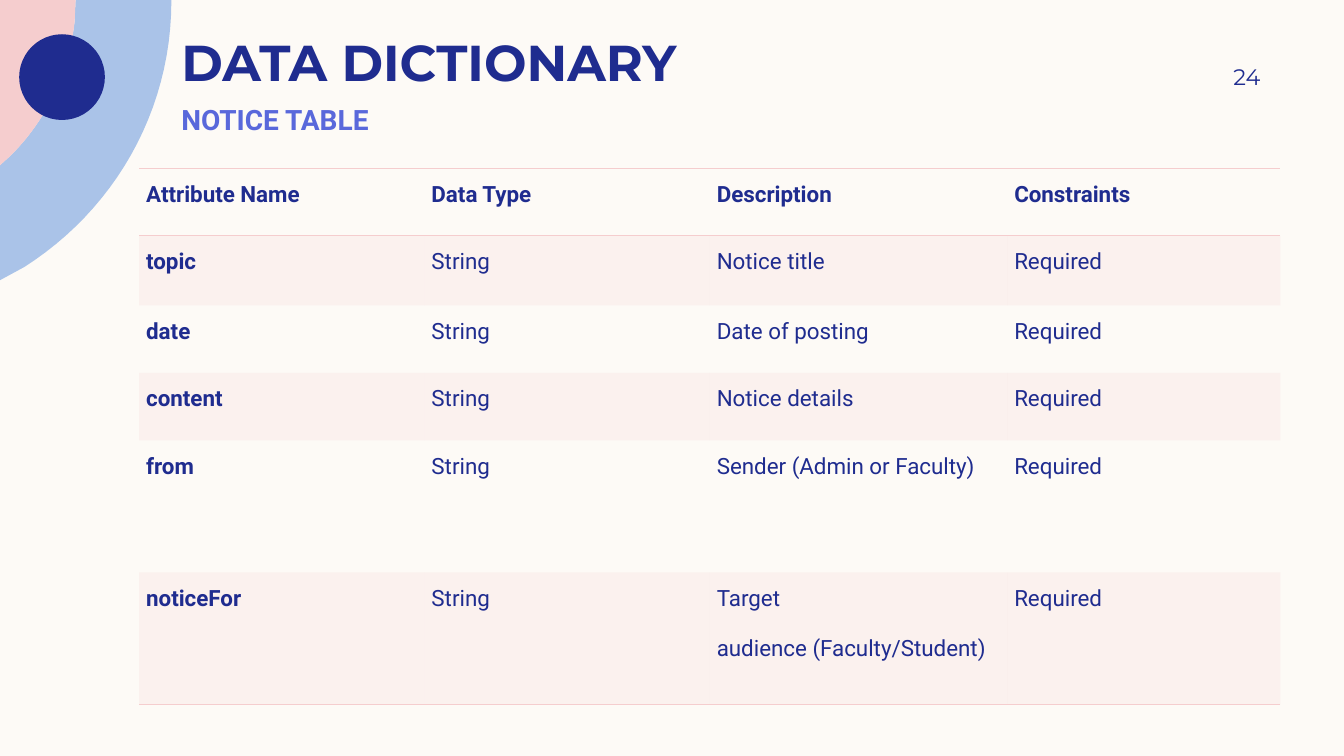
from dataclasses import dataclass

from lxml.etree import SubElement
from pptx import Presentation
from pptx.dml.color import RGBColor
from pptx.enum.shapes import MSO_SHAPE
from pptx.enum.text import MSO_ANCHOR, PP_ALIGN
from pptx.oxml.ns import qn
from pptx.util import Inches, Pt


@dataclass(frozen=True)
class Theme:
    cream: str = "FDFAF6"
    navy: str = "1F2C8F"
    violet: str = "5968DB"
    sky: str = "AAC3E8"
    pink: str = "F5CDCE"
    heading_font: str = "Montserrat"
    body_font: str = "Roboto"
    title_size: int = 36
    subtitle_size: int = 20
    body_size: int = 16
    band_opacity: int = 20
    plain_table: str = "{2D5ABB26-0587-4C30-8999-92F81FD0307C}"


def apply(target, values):
    for name, value in values.items():
        setattr(target, name, value)


def bezier(start, control1, control2, end, steps=24):
    """Points along a cubic curve, both ends included."""
    points = []
    for step in range(steps + 1):
        t = step / steps
        weights = ((1 - t) ** 3, 3 * t * (1 - t) ** 2, 3 * t * t * (1 - t), t ** 3)
        corners = (start, control1, control2, end)
        points.append(tuple(sum(w * c[axis] for w, c in zip(weights, corners))
                            for axis in (0, 1)))
    return points


class SlideBuilder:
    def __init__(self, slide, theme):
        self.slide, self.theme = slide, theme
        fill = slide.background.fill
        fill.solid()
        fill.fore_color.rgb = RGBColor.from_string(theme.cream)

    def paint(self, shape, color):
        shape.shadow.inherit = False
        shape.fill.solid()
        shape.fill.fore_color.rgb = RGBColor.from_string(color)
        shape.line.fill.background()

    def outline(self, points, color):
        start, *rest = [(Inches(x), Inches(y)) for x, y in points]
        builder = self.slide.shapes.build_freeform(*start, scale=1.0)
        builder.add_line_segments(rest, close=True)
        self.paint(builder.convert_to_shape(), color)

    def disc(self, left, top, diameter, color):
        box = [Inches(v) for v in (left, top, diameter, diameter)]
        self.paint(self.slide.shapes.add_shape(MSO_SHAPE.OVAL, *box), color)

    def add_words(self, paragraph, words, size, color, font, bold=False, **layout):
        apply(paragraph, layout)
        run = paragraph.add_run()
        run.text = words
        apply(run.font, {"size": Pt(size), "name": font, "bold": bold})
        run.font.color.rgb = RGBColor.from_string(color)

    def text(self, box, words, frame_format, **style):
        frame = self.slide.shapes.add_textbox(*[Inches(v) for v in box]).text_frame
        apply(frame, {"word_wrap": True, "margin_left": Inches(0.1),
                      "margin_right": Inches(0.1), "margin_top": 0,
                      "margin_bottom": 0, **frame_format})
        self.add_words(frame.paragraphs[0], words, **style)

    def border(self, cell, side):
        line = SubElement(cell._tc.get_or_add_tcPr(), qn(f"a:ln{side}"), w=str(Pt(1)))
        fill = SubElement(line, qn("a:solidFill"))
        SubElement(fill, qn("a:srgbClr"), val=self.theme.pink)

    def band(self, cell):
        cell.fill.solid()
        cell.fill.fore_color.rgb = RGBColor.from_string(self.theme.pink)
        color = cell._tc.tcPr.find(qn("a:solidFill")).find(qn("a:srgbClr"))
        SubElement(color, qn("a:alpha"), val=str(self.theme.band_opacity * 1000))

    def table(self, left, top, widths, heights, rows):
        frame = self.slide.shapes.add_table(
            len(rows), len(widths), Inches(left), Inches(top),
            Inches(sum(widths)), Inches(sum(heights)))
        grid = frame.table
        apply(grid, {"first_row": False, "horz_banding": False})
        frame._element.find(f".//{qn('a:tableStyleId')}").text = self.theme.plain_table
        for column, width in zip(grid.columns, widths):
            column.width = Inches(width)
        for row, height in zip(grid.rows, heights):
            row.height = Inches(height)
        for r, values in enumerate(rows):
            for c, value in enumerate(values):
                self.cell(grid.cell(r, c), value, bold=r == 0 or c == 0)
                # Rules frame the header and close the table
                sides = {0: "TB", len(rows) - 1: "B"}.get(r, "")
                for side in sides:
                    self.border(grid.cell(r, c), side)
                if r % 2:
                    self.band(grid.cell(r, c))
                else:
                    grid.cell(r, c).fill.background()

    def cell(self, cell, value, bold):
        apply(cell, {"margin_left": Inches(0.07), "margin_right": Inches(0.07),
                     "margin_top": 0, "margin_bottom": 0})
        frame = cell.text_frame
        for i, words in enumerate(value.split("\n")):
            paragraph = frame.add_paragraph() if i else frame.paragraphs[0]
            self.add_words(paragraph, words, self.theme.body_size, self.theme.navy,
                           self.theme.body_font, bold, alignment=PP_ALIGN.JUSTIFY,
                           line_spacing=1.5, space_after=Pt(8))


def main():
    theme = Theme()
    deck = Presentation()
    apply(deck, {"slide_width": Inches(13.33), "slide_height": Inches(7.5)})
    page = SlideBuilder(deck.slides.add_slide(deck.slide_layouts[6]), theme)

    # Corner rings
    outer_edge = bezier((1.7, 0.01), (1.7, 1.12), (1.12, 2.09), (0.24, 2.65))
    inner_edge = [(0.75, 0), *bezier((0.74, 0.22), (0.68, 0.73), (0.46, 1.19),
                                     (0.11, 1.54)), (0, 1.64)]
    page.outline([(1.7, 0), *outer_edge, (0, 2.78), *reversed(inner_edge)], theme.sky)
    page.outline([(0, 0), *inner_edge], theme.pink)
    page.disc(0.19, 0.34, 0.85, theme.navy)

    # Heading and page number
    page.text((1.7, 0.06, 5.89, 0.85), "DATA DICTIONARY",
              {"vertical_anchor": MSO_ANCHOR.BOTTOM}, size=theme.title_size,
              color=theme.navy, font=theme.heading_font, bold=True)
    page.text((1.7, 1.02, 4.63, 0.42), "NOTICE TABLE", {}, size=theme.subtitle_size,
              color=theme.violet, font=theme.body_font, bold=True, space_after=Pt(12))
    page.text((11.33, 0.5, 1.17, 0.52), "24",
              {"vertical_anchor": MSO_ANCHOR.MIDDLE, "margin_right": 0,
               "margin_top": Inches(0.05), "margin_bottom": Inches(0.05)},
              size=theme.body_size, color=theme.navy, font=theme.heading_font,
              alignment=PP_ALIGN.RIGHT)

    # Notice attributes
    attributes = [
        ("topic", "Notice title"),
        ("date", "Date of posting"),
        ("content", "Notice details"),
        ("from", "Sender (Admin or Faculty)"),
        ("noticeFor", "Target\naudience (Faculty/Student)"),
    ]
    header = ("Attribute Name", "Data Type", "Description", "Constraints")
    rows = [header] + [(name, "String", description, "Required")
                       for name, description in attributes]
    page.table(1.38, 1.67, (2.83, 2.83, 2.95, 2.71),
               (0.67, 0.69, 0.67, 0.67, 1.31, 1.31), rows)

    deck.save("out.pptx")


if __name__ == "__main__":
    main()
